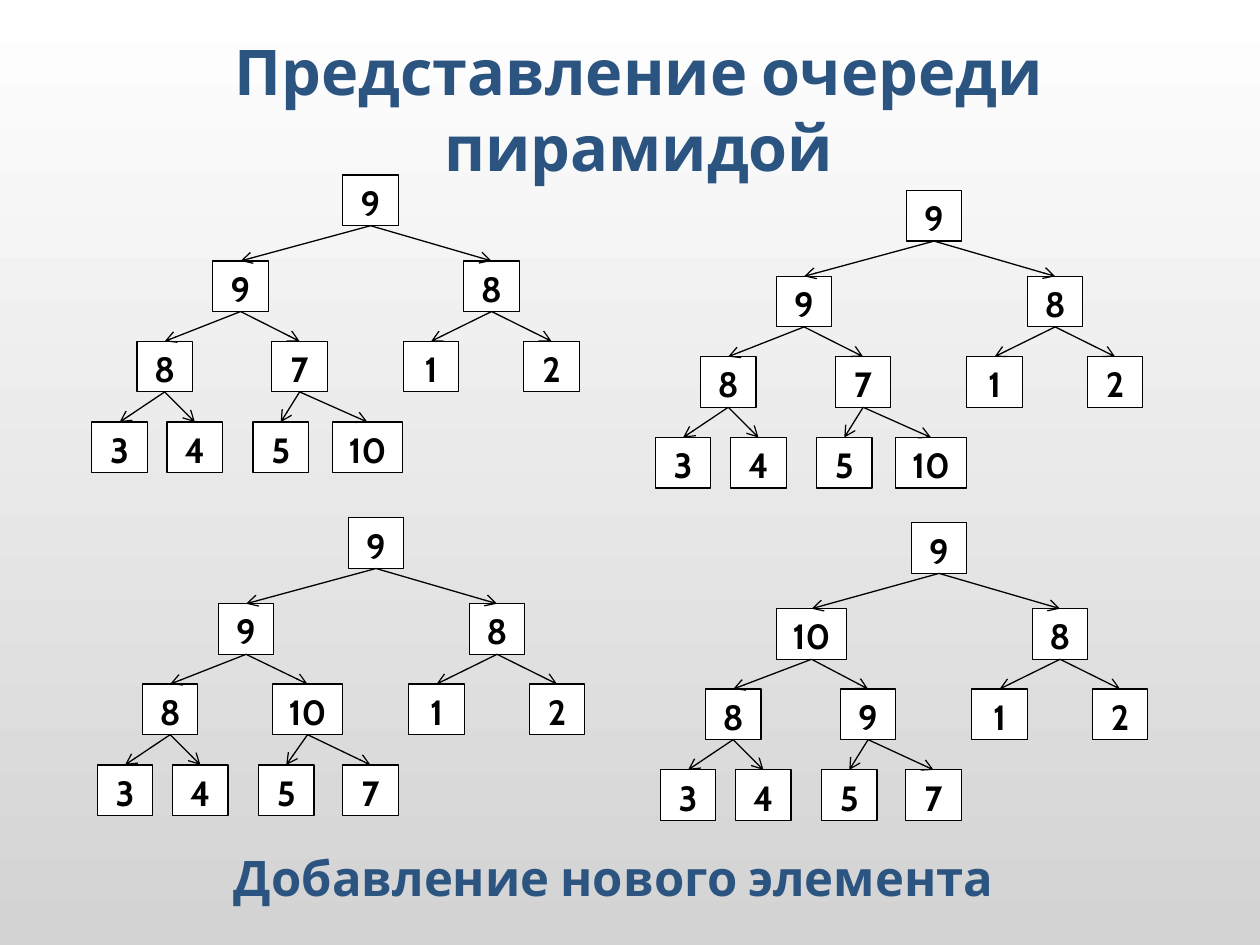
"""Build a slide with four heaps that show how a new element is added to a queue."""
from lxml import etree
from pptx import Presentation
from pptx.dml.color import RGBColor
from pptx.enum.shapes import MSO_CONNECTOR, MSO_SHAPE
from pptx.enum.text import MSO_ANCHOR, MSO_AUTO_SIZE, PP_ALIGN
from pptx.oxml.ns import qn
from pptx.util import Cm, Pt

RECTANGLE = MSO_SHAPE.RECTANGLE
STRAIGHT = MSO_CONNECTOR.STRAIGHT
CENTER = PP_ALIGN.CENTER
TOP, MIDDLE = MSO_ANCHOR.TOP, MSO_ANCHOR.MIDDLE
NO_AUTOFIT = MSO_AUTO_SIZE.NONE
TITLE_ONLY = 5
BOTTOM_SITE, TOP_SITE = 2, 0

NODE_WIDTH, WIDE_NODE_WIDTH, NODE_HEIGHT = 1.12, 1.42, 1.02
WIDE_NODE_SHIFT = 0.1
LEVEL_TOPS = [0, 1.73, 3.35, 4.98]
LEVEL_LEFTS = [[5.06], [2.44, 7.5], [0.91, 3.63, 6.28, 8.71], [0, 1.52, 3.25, 4.95]]
NODE_SLOTS = [(left, top) for top, lefts in zip(LEVEL_TOPS, LEVEL_LEFTS) for left in lefts]
HEAPS = [
    (1.85, 3.53, [9, 9, 8, 8, 7, 1, 2, 3, 4, 5, 10]),
    (13.21, 3.84, [9, 9, 8, 8, 7, 1, 2, 3, 4, 5, 10]),
    (1.96, 10.44, [9, 9, 8, 8, 10, 1, 2, 3, 4, 5, 7]),
    (13.31, 10.54, [9, 10, 8, 8, 9, 1, 2, 3, 4, 5, 7]),
]


def color(value):
    return RGBColor.from_string(value)


class HeapSlide:
    """Hold the style and the current page, and draw its elements."""

    font_name = "Cabin"
    heading_color = "2B5481"
    ink = "000000"
    paper = "FFFFFF"
    line_width = Pt(0.75)

    def __init__(self, deck):
        self.page = deck.slides.add_slide(deck.slide_layouts[TITLE_ONLY])

    def background(self, start, end):
        fill = self.page.background.fill
        fill.gradient()
        fill.gradient_angle = 270
        for stop, value in zip(fill.gradient_stops, (start, end)):
            stop.color.rgb = color(value)

    def set_text(self, shape, text, size, ink, anchor):
        frame = shape.text_frame
        frame.word_wrap = True
        frame.auto_size = NO_AUTOFIT
        frame.vertical_anchor = anchor
        para = frame.paragraphs[0]
        para.text = text
        para.alignment = CENTER
        para.font.name = self.font_name
        para.font.size = Pt(size)
        para.font.bold = True
        para.font.color.rgb = color(ink)

    def title(self, text, left, top, width, height):
        box = self.page.shapes.title
        box.left, box.top, box.width, box.height = Cm(left), Cm(top), Cm(width), Cm(height)
        self.set_text(box, text, 36, self.heading_color, MIDDLE)

    def caption(self, text, left, top, width, height):
        box = self.page.shapes.add_textbox(Cm(left), Cm(top), Cm(width), Cm(height))
        self.set_text(box, text, 28, self.heading_color, MIDDLE)

    def node(self, value, left, top):
        wide = value >= 10
        width = WIDE_NODE_WIDTH if wide else NODE_WIDTH
        if wide:
            left -= WIDE_NODE_SHIFT
        box = self.page.shapes.add_shape(RECTANGLE, Cm(left), Cm(top), Cm(width), Cm(NODE_HEIGHT))
        box.shadow.inherit = False
        box.fill.solid()
        box.fill.fore_color.rgb = color(self.paper)
        box.line.color.rgb = color(self.ink)
        box.line.width = self.line_width
        self.set_text(box, str(value), 20, self.ink, TOP)
        return box

    def arrow(self, parent, child):
        link = self.page.shapes.add_connector(STRAIGHT, 0, 0, 0, 0)
        link.begin_connect(parent, BOTTOM_SITE)
        link.end_connect(child, TOP_SITE)
        link.line.color.rgb = color(self.ink)
        link.line.width = self.line_width
        properties = link._element.spPr
        etree.SubElement(properties.find(qn("a:ln")), qn("a:tailEnd"), type="arrow")
        etree.SubElement(properties, qn("a:effectLst"))

    def heap(self, left, top, values):
        nodes = [self.node(value, left + x, top + y) for value, (x, y) in zip(values, NODE_SLOTS)]
        for index in range(1, len(nodes)):
            self.arrow(nodes[(index - 1) // 2], nodes[index])


def main():
    deck = Presentation()
    deck.slide_width, deck.slide_height = Cm(25.4), Cm(19.05)
    slide = HeapSlide(deck)
    slide.background("FFFFFF", "D3D3D3")
    slide.title("Представление очереди пирамидой", 1.45, 0.81, 22.86, 2.74)
    for left, top, values in HEAPS:
        slide.heap(left, top, values)
    slide.caption("Добавление нового элемента", 0.94, 16.92, 22.86, 1.52)
    deck.save("out.pptx")


if __name__ == "__main__":
    main()
